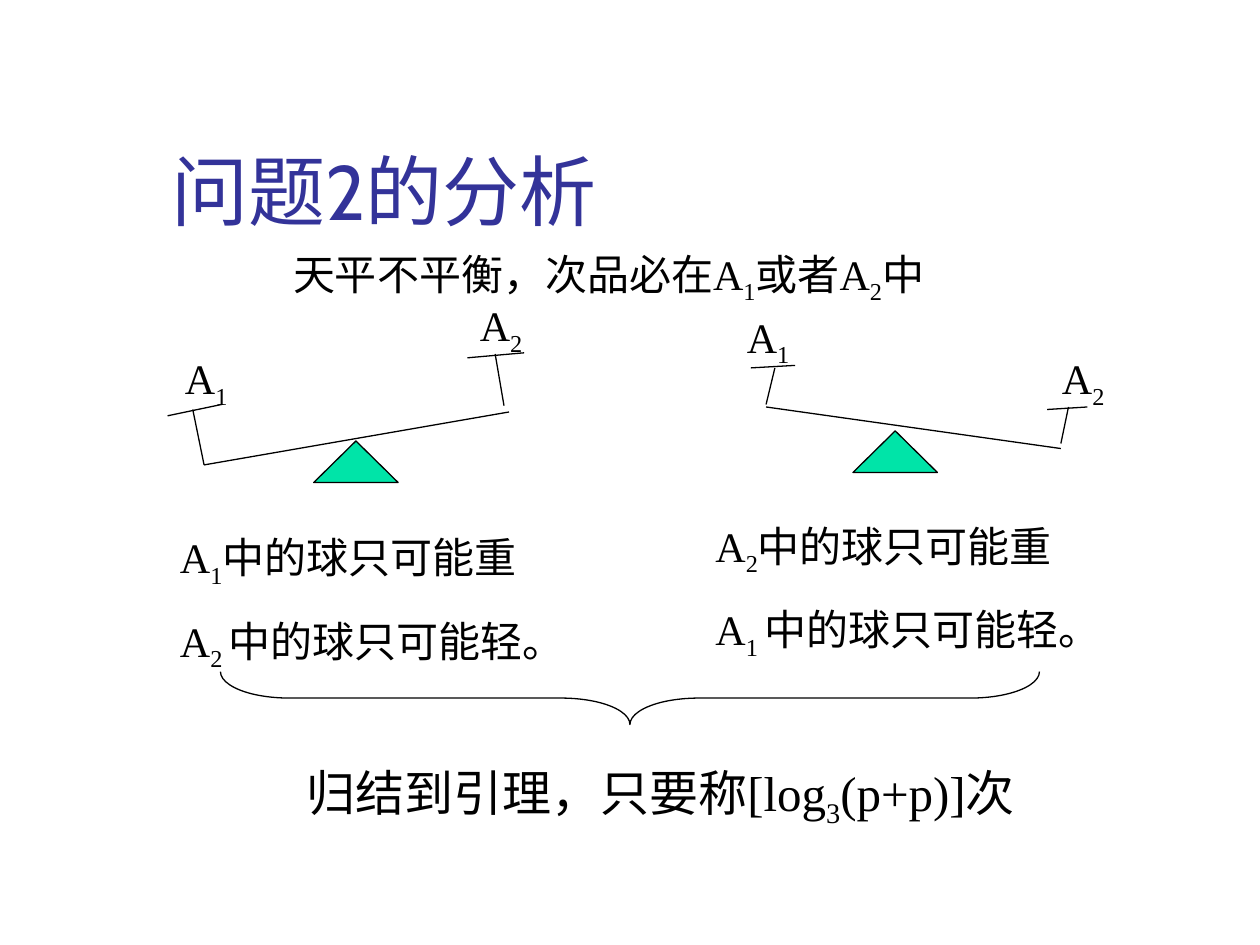
from dataclasses import dataclass

from lxml import etree
from pptx import Presentation
from pptx import util as u
from pptx.dml.color import RGBColor
from pptx.enum import shapes, text
from pptx.oxml.ns import qn


@dataclass(frozen=True)
class Theme:
    ink: RGBColor = RGBColor(0x00, 0x00, 0x00)
    title: RGBColor = RGBColor(0x33, 0x33, 0x99)
    pivot: RGBColor = RGBColor(0x00, 0xE4, 0xA8)
    title_font: str = "Cabin"
    body_font: str = "Times New Roman"
    title_size: int = 44
    body_size: int = 24
    result_size: int = 28
    line_width: float = 0.75


@dataclass(frozen=True)
class Note:
    """Text box; parts between bars alternate normal and subscript."""
    box: tuple[float, float, float, float]
    lines: tuple[str, ...]
    size: int = Theme.body_size
    align: text.PP_ALIGN = text.PP_ALIGN.LEFT


@dataclass(frozen=True)
class Scale:
    """Balance: pivot position, (x1, y1, x2, y2) strokes and pan labels."""
    pivot: tuple[float, float]
    strokes: tuple[tuple[float, float, float, float], ...]
    labels: tuple[Note, ...]


THEME = Theme()
PIVOT_SIZE = (0.67, 0.33)

SCALES = (
    Scale(
        pivot=(2.49, 3.5),
        strokes=(
            (1.62, 3.69, 4.04, 3.27),  # beam
            (1.62, 3.69, 1.53, 3.25),  # left arm
            (4, 3.22, 3.93, 2.81),  # right arm
            (1.33, 3.3, 1.76, 3.21),  # left pan
            (3.71, 2.84, 4.16, 2.8),  # right pan
        ),
        labels=(Note((1.37, 2.75, 1.33, 0.56), ("A|1",)),
                Note((3.71, 2.33, 1.42, 0.56), ("A|2",))),
    ),
    Scale(
        pivot=(6.77, 3.42),
        strokes=(
            (6.08, 3.23, 8.42, 3.56),
            (6.08, 3.21, 6.15, 2.92),
            (8.42, 3.52, 8.48, 3.23),
            (5.96, 2.92, 6.31, 2.9),
            (8.31, 3.25, 8.63, 3.23),
        ),
        labels=(Note((5.83, 2.42, 1.33, 0.56), ("A|1",)),
                Note((8.33, 2.75, 1.42, 0.56), ("A|2",))),
    ),
)

NOTES = (
    Note((1.08, 1.92, 7.5, 0.56), ("天平不平衡，次品必在A|1|或者A|2|中",),
         align=text.PP_ALIGN.CENTER),
    Note((1.33, 4.17, 4.42, 1.22),
         ("A|1|中的球只可能重", "A|2 |中的球只可能轻。")),
    Note((5.58, 4.08, 4.42, 1.22),
         ("A|2|中的球只可能重", "A|1 |中的球只可能轻。")),
    Note((2.08, 6, 6.33, 0.63), ("归结到引理，只要称[log|3|(p+p)]次",),
         THEME.result_size, text.PP_ALIGN.CENTER),
)


def inches(*values: float) -> list[u.Length]:
    return [u.Inches(value) for value in values]


def apply(target, formats: dict) -> None:
    for name, value in formats.items():
        setattr(target, name, value)


def style_font(font, name: str, size: int, color: RGBColor) -> None:
    apply(font, {"name": name, "size": u.Pt(size)})
    font.color.rgb = color


def style_line(line) -> None:
    line.color.rgb = THEME.ink
    line.width = u.Pt(THEME.line_width)


def add_note(parent, note: Note) -> None:
    frame = parent.add_textbox(*inches(*note.box)).text_frame
    apply(frame, {"word_wrap": True,
                  "auto_size": text.MSO_AUTO_SIZE.SHAPE_TO_FIT_TEXT})
    for index, line in enumerate(note.lines):
        para = frame.add_paragraph() if index else frame.paragraphs[0]
        para.alignment = note.align
        if index:
            para.space_before = u.Pt(15)
        for part, words in enumerate(line.split("|")):
            span = para.add_run()
            span.text = words
            style_font(span.font, THEME.body_font, note.size, THEME.ink)
            if part % 2:
                span.font._element.set("baseline", "-25000")


def add_stroke(parent, ends: tuple[float, float, float, float]) -> None:
    stroke = parent.add_connector(shapes.MSO_CONNECTOR.STRAIGHT, *inches(*ends))
    style_line(stroke.line)
    etree.SubElement(stroke._element.spPr, qn("a:effectLst"))


def add_scale(page, scale: Scale) -> None:
    group = page.shapes.add_group_shape().shapes
    pivot = group.add_shape(shapes.MSO_SHAPE.ISOSCELES_TRIANGLE,
                            *inches(*scale.pivot, *PIVOT_SIZE))
    pivot.shadow.inherit = False
    pivot.fill.solid()
    pivot.fill.fore_color.rgb = THEME.pivot
    style_line(pivot.line)
    for ends in scale.strokes:
        add_stroke(group, ends)
    for label in scale.labels:
        add_note(group, label)


def add_title(page, words: str) -> None:
    title = page.shapes.title
    left, top, width, height = inches(1.26, 0.67, 8.52, 1.25)
    apply(title, {"left": left, "top": top, "width": width, "height": height})
    frame = title.text_frame
    frame.text = words
    apply(frame, {"vertical_anchor": text.MSO_ANCHOR.BOTTOM,
                  "auto_size": text.MSO_AUTO_SIZE.NONE, "word_wrap": True})
    para = frame.paragraphs[0]
    para.alignment = text.PP_ALIGN.LEFT
    style_font(para.runs[0].font, THEME.title_font, THEME.title_size, THEME.title)


def add_brace(page) -> None:
    brace = page.shapes.add_shape(shapes.MSO_SHAPE.LEFT_BRACE,
                                  *inches(4.79, 2.29, 0.42, 6.5))
    brace.rotation = 270
    brace.adjustments[0] = 1.3
    brace.shadow.inherit = False
    brace.fill.background()
    style_line(brace.line)


def main() -> None:
    deck = Presentation()
    deck.slide_width, deck.slide_height = inches(10, 7.5)
    page = deck.slides.add_slide(deck.slide_layouts[5])

    # Heading
    add_title(page, "问题2的分析")

    # The two ways the balance can tip
    for scale in SCALES:
        add_scale(page, scale)

    # Reasoning, joined by the brace into the result
    for note in NOTES:
        add_note(page.shapes, note)
    add_brace(page)

    deck.save("out.pptx")


if __name__ == "__main__":
    main()
